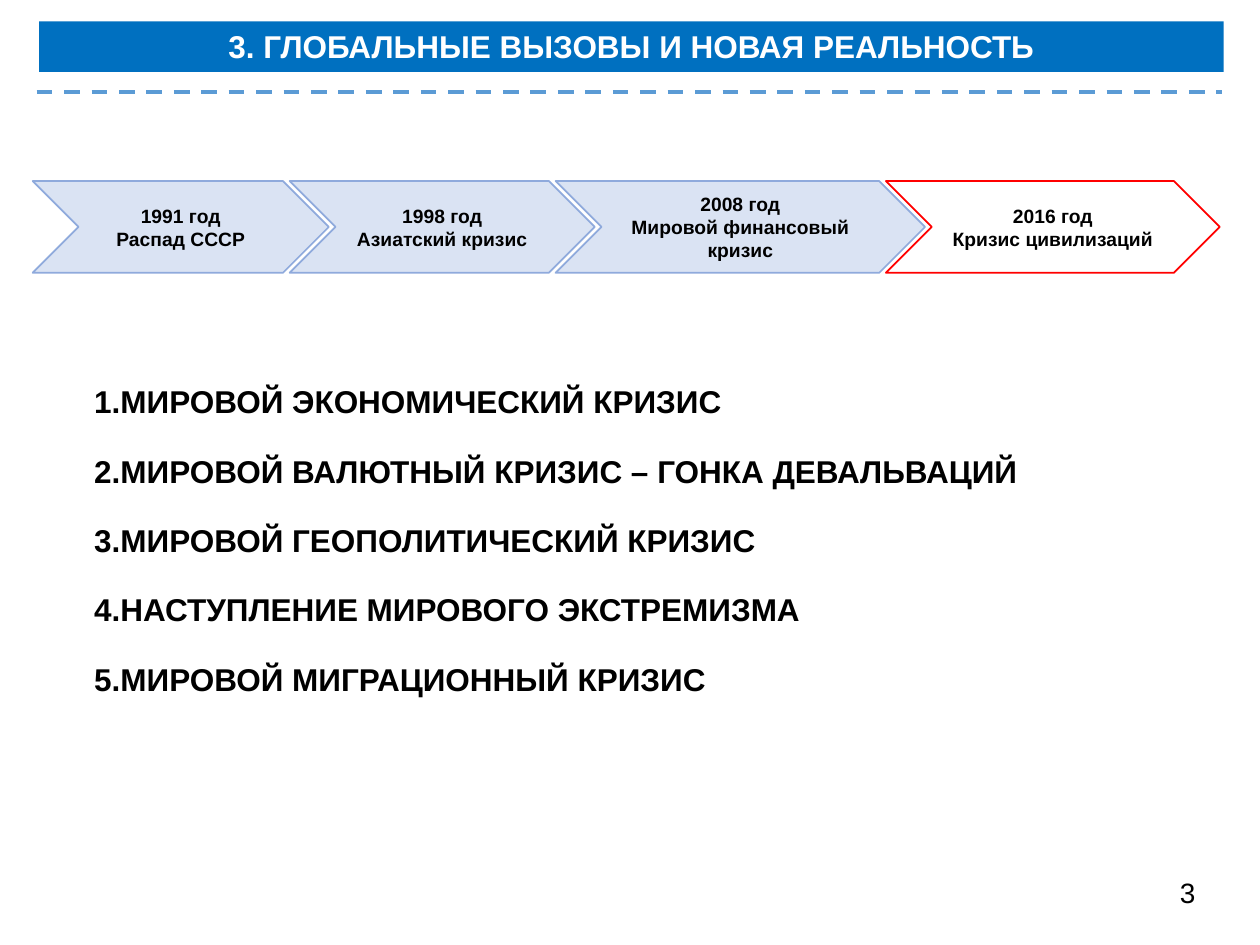
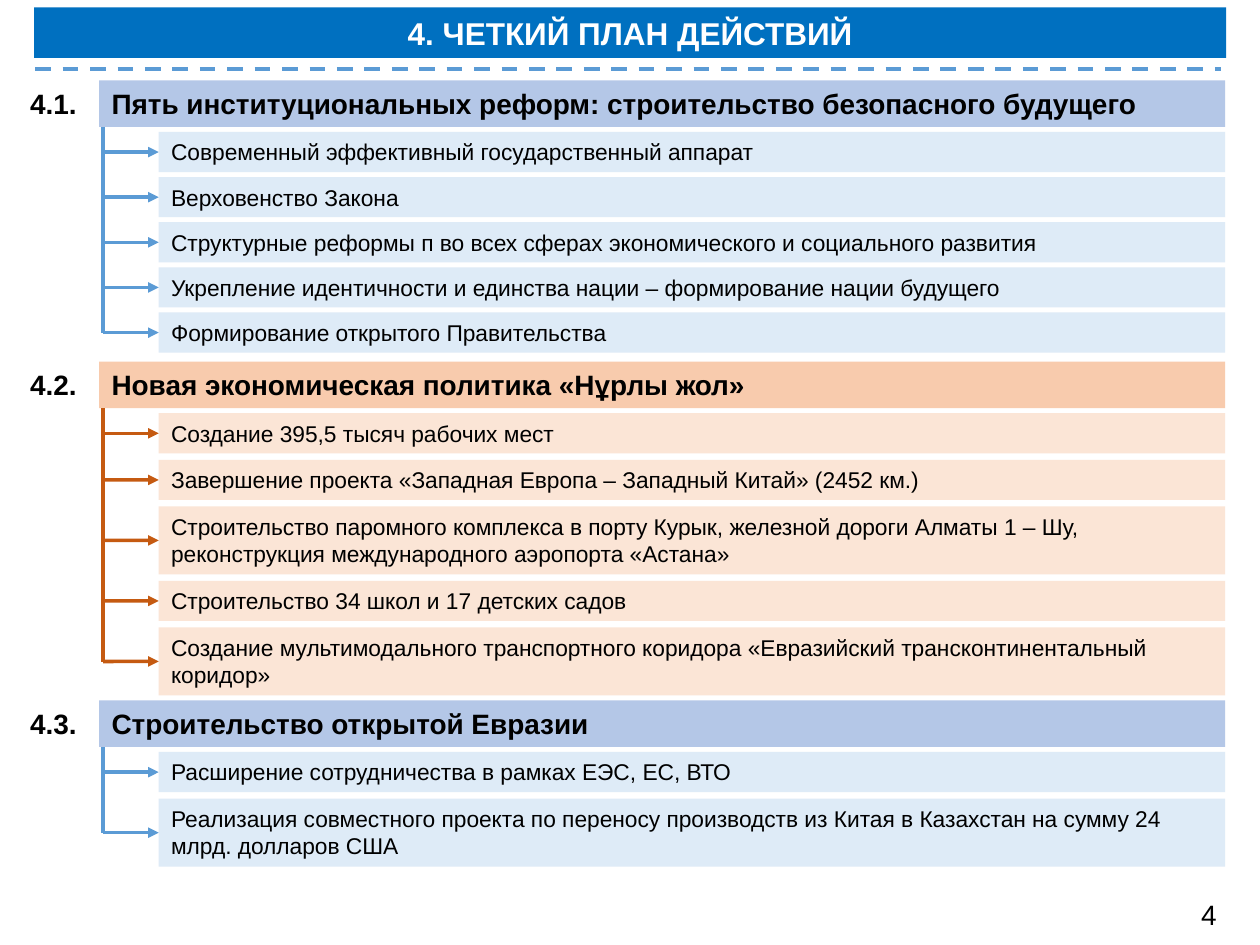
import pptx
import pptx.dml.color
import pptx.enum.dml
import pptx.enum.shapes
import pptx.enum.text
import pptx.oxml.ns
import pptx.util

Cm = pptx.util.Cm
Pt = pptx.util.Pt
SHAPE = pptx.enum.shapes.MSO_SHAPE
ALIGN = pptx.enum.text.PP_ALIGN
ANCHOR = pptx.enum.text.MSO_ANCHOR
qn = pptx.oxml.ns.qn

BAND, DASH = "0070C0", "5B9BD5"
BLUE = {"head": "B4C7E7", "row": "DEEBF7", "line": "5B9BD5"}
ORANGE = {"head": "F8CBAD", "row": "FBE5D6", "line": "C55A11"}


def rgb(value):
    return pptx.dml.color.RGBColor.from_string(value)


class Deck:
    font = "Arial"
    black, white = "000000", "FFFFFF"

    def __init__(self):
        self.prs = pptx.Presentation()
        self.prs.slide_width, self.prs.slide_height = Cm(25.4), Cm(19.05)
        self.s = None

    def set_text(self, sp, text, size, color, bold, align, anchor):
        tf = sp.text_frame
        tf.word_wrap = True
        tf.vertical_anchor = anchor
        tf.text = text
        for p in tf.paragraphs:
            p.alignment = align
            for r in p.runs:
                r.font.name = self.font
                r.font.size = Pt(size)
                r.font.bold = bold
                r.font.color.rgb = rgb(color)

    def shape(self, kind, x, y, w, h, text, size, fill=None, line=None, color=black,
              bold=False, align=ALIGN.LEFT, anchor=ANCHOR.TOP):
        sp = self.s.shapes.add_shape(kind, Cm(x), Cm(y), Cm(w), Cm(h))
        sp.shadow.inherit = False
        if fill:
            sp.fill.solid()
            sp.fill.fore_color.rgb = rgb(fill)
        else:
            sp.fill.background()
        if line:
            sp.line.color.rgb = rgb(line)
            sp.line.width = Pt(1)
        else:
            sp.line.fill.background()
        self.set_text(sp, text, size, color, bold, align, anchor)
        return sp

    def text(self, x, y, w, h, text, size, bold=False, align=ALIGN.CENTER, anchor=ANCHOR.TOP):
        sp = self.s.shapes.add_textbox(Cm(x), Cm(y), Cm(w), Cm(h))
        self.set_text(sp, text, size, self.black, bold, align, anchor)
        return sp

    def numbered(self, x, y, w, h, items, size):
        sp = self.text(x, y, w, h, "\n".join(items), size, True, ALIGN.LEFT, ANCHOR.BOTTOM)
        for p in sp.text_frame.paragraphs:
            p.line_spacing = 0.9
            p.space_before = Pt(20.25)
            pPr = p._p.get_or_add_pPr()
            pPr.set("marL", "0")
            pPr.set("indent", str(Cm(0.76)))
            pPr.append(pPr.makeelement(qn("a:buAutoNum"), {"type": "arabicPeriod"}))

    def line(self, x1, y1, x2, y2, color, width=2.25, dash=False, target=None):
        c = self.s.shapes.add_connector(pptx.enum.shapes.MSO_CONNECTOR.STRAIGHT,
                                        Cm(x1), Cm(y1), Cm(x2), Cm(y2))
        c.line.color.rgb = rgb(color)
        c.line.width = Pt(width)
        if dash:
            c.line.dash_style = pptx.enum.dml.MSO_LINE.DASH
        spPr = c._element.spPr
        if target is not None:
            c.end_connect(target, 1)
            ln = spPr.find(qn("a:ln"))
            ln.append(ln.makeelement(qn("a:tailEnd"), {"type": "triangle"}))
        spPr.append(spPr.makeelement(qn("a:effectLst"), {}))

    def slide(self, title, band, dash, page, number):
        self.s = self.prs.slides.add_slide(self.prs.slide_layouts[6])
        x, y, w = band
        self.shape(SHAPE.RECTANGLE, x, y, w, 1.02, title, 18, BAND, color=self.white,
                   bold=True, align=ALIGN.CENTER)
        x, y = dash
        self.line(x, y, x + 23.9, y, DASH, dash=True)
        self.text(*page, 1.4, 0.94, number, 16)

    def timeline(self, x, y, steps):
        for text, w, fill, line in steps:
            self.shape(SHAPE.CHEVRON, x, y, w, 1.85, text, 11, fill, line, bold=True,
                       align=ALIGN.CENTER, anchor=ANCHOR.MIDDLE)
            x += w - 0.79

    def section(self, number, title, top, gap, colors, rows):
        trunk, left, right = 2.08, 3.2, 24.7
        head_left, head_h = 2.0, 0.94
        self.text(0.25, top, 1.65, head_h, number, 16, True)
        self.shape(SHAPE.RECTANGLE, head_left, top, right - head_left, head_h, title, 16,
                   colors["head"], bold=True)
        y = top + 1.04
        for text, lines in rows:
            h = 0.81 if lines == 1 else 1.37
            row = self.shape(SHAPE.RECTANGLE, left, y, right - left, h, text, 13, colors["row"])
            middle = y + h / 2
            self.line(trunk, middle, left, middle, colors["line"], 2, target=row)
            y += h + gap
        self.line(trunk, top + head_h, trunk, middle, colors["line"])


def main():
    d = Deck()

    d.slide("3. ГЛОБАЛЬНЫЕ ВЫЗОВЫ И НОВАЯ РЕАЛЬНОСТЬ",
            (0.79, 0.43, 23.88), (0.74, 1.85), (23.24, 17.53), "3")
    d.timeline(0.66, 3.65, [
        ("1991 год\nРаспад СССР", 5.97, "DAE3F3", "8FAADC"),
        ("1998 год\nАзиатский кризис", 6.15, "DAE3F3", "8FAADC"),
        ("2008 год\nМировой финансовый кризис", 7.45, "DAE3F3", "8FAADC"),
        ("2016 год\nКризис цивилизаций", 6.73, None, "FF0000"),
    ])
    d.numbered(0.89, 6.83, 23.29, 7.37, [
        "МИРОВОЙ ЭКОНОМИЧЕСКИЙ КРИЗИС",
        "МИРОВОЙ ВАЛЮТНЫЙ КРИЗИС – ГОНКА ДЕВАЛЬВАЦИЙ",
        "МИРОВОЙ ГЕОПОЛИТИЧЕСКИЙ КРИЗИС",
        "НАСТУПЛЕНИЕ МИРОВОГО ЭКСТРЕМИЗМА",
        "МИРОВОЙ МИГРАЦИОННЫЙ КРИЗИС",
    ], 18)

    d.slide("4. ЧЕТКИЙ ПЛАН ДЕЙСТВИЙ",
            (0.69, 0.15, 24.03), (0.71, 1.39), (23.67, 17.96), "4")
    d.section("4.1.", "Пять институциональных реформ: строительство безопасного будущего",
              1.62, 0.1, BLUE, [
                  ("Современный эффективный государственный аппарат", 1),
                  ("Верховенство Закона", 1),
                  ("Структурные реформы п во всех сферах экономического и социального развития", 1),
                  ("Укрепление идентичности и единства нации – формирование нации будущего", 1),
                  ("Формирование открытого Правительства", 1),
              ])
    d.section("4.2.", "Новая экономическая политика «Нұрлы жол»", 7.29, 0.13, ORANGE, [
        ("Создание 395,5 тысяч рабочих мест", 1),
        ("Завершение проекта «Западная Европа – Западный Китай» (2452 км.)", 1),
        ("Строительство паромного комплекса в порту Курык, железной дороги Алматы 1 – Шу, "
         "реконструкция международного аэропорта «Астана»", 2),
        ("Строительство 34 школ и 17 детских садов", 1),
        ("Создание мультимодального транспортного коридора "
         "«Евразийский трансконтинентальный коридор»", 2),
    ])
    d.section("4.3.", "Строительство открытой Евразии", 14.12, 0.13, BLUE, [
        ("Расширение сотрудничества в рамках ЕЭС, ЕС, ВТО", 1),
        ("Реализация совместного проекта по переносу производств из Китая в Казахстан "
         "на сумму 24 млрд. долларов США", 2),
    ])

    d.prs.save("out.pptx")


if __name__ == "__main__":
    main()
